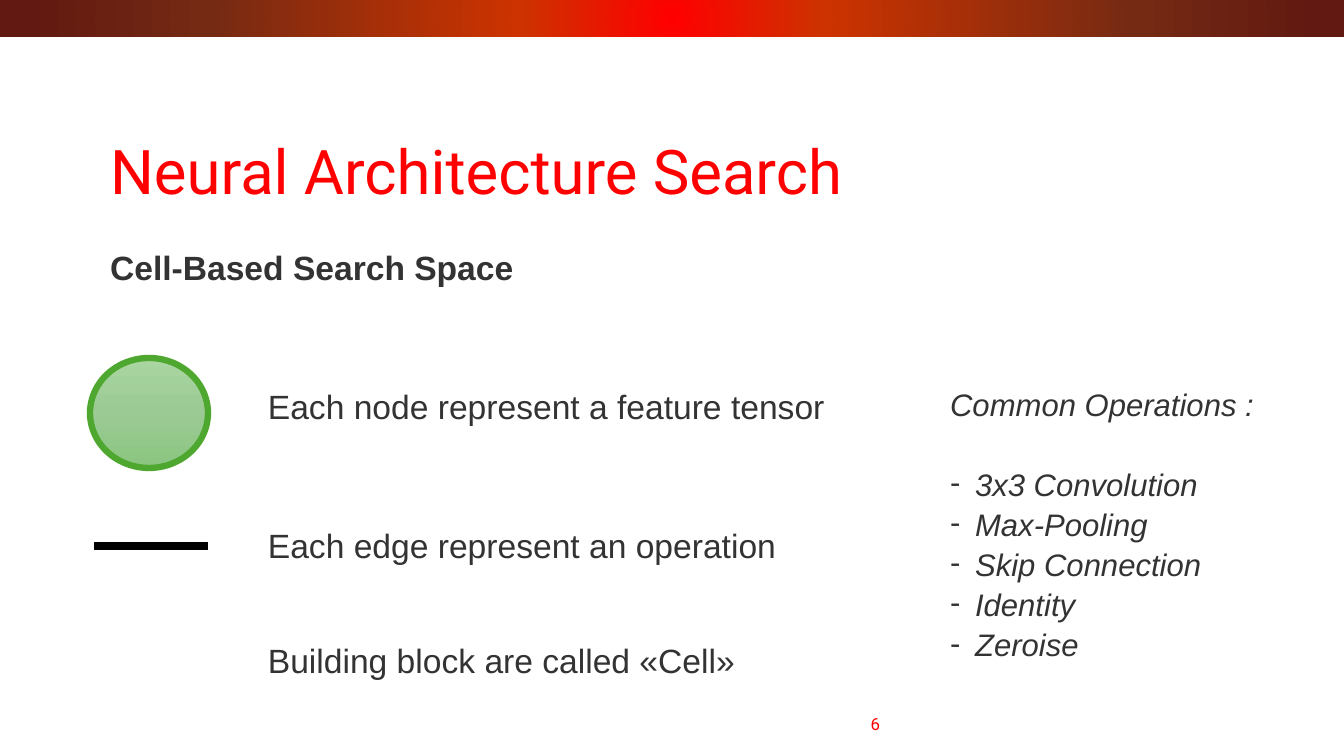
"""Build the slide on the cell-based search space of Neural Architecture Search."""
from lxml import etree
from pptx import Presentation
from pptx import util as u
from pptx.dml.color import RGBColor
from pptx.enum import shapes, text
from pptx.oxml import ns

PX = 914400 / 100.8
RED = RGBColor(0xFF, 0x00, 0x00)
ORANGE = RGBColor(0xCC, 0x33, 0x00)
BROWN = RGBColor(0x75, 0x2A, 0x13)
MAROON = RGBColor(0x61, 0x19, 0x11)
GREY = RGBColor(0x33, 0x33, 0x33)
BLACK = RGBColor(0x00, 0x00, 0x00)
GREEN = RGBColor(0x4E, 0xA7, 0x2E)
LIGHT_GREEN = RGBColor(0xA8, 0xD5, 0xA0)
MID_GREEN = RGBColor(0x9C, 0xCA, 0x94)
DEEP_GREEN = RGBColor(0x8A, 0xC6, 0x80)


def write(box, place, lines, size=24, font="Arial", color=GREY, bold=False, italic=False,
          spacing=0.8, align=text.PP_ALIGN.LEFT, anchor=text.MSO_ANCHOR.TOP, gaps=(0,)):
    """Place a box and write its lines; lines that start with "- " become bullets."""
    box.left, box.top, box.width, box.height = (round(length * PX) for length in place)
    frame = box.text_frame
    frame.word_wrap = True
    frame.auto_size = text.MSO_AUTO_SIZE.NONE
    frame.vertical_anchor = anchor
    for index, line in enumerate(lines):
        para = frame.add_paragraph() if index else frame.paragraphs[0]
        props = para._p.get_or_add_pPr()
        bulleted = line.startswith("- ")
        indent = round(25 * PX) if bulleted else 0
        props.set("marL", str(indent))
        props.set("indent", str(-indent))
        if bulleted:
            etree.SubElement(props, ns.qn("a:buFont")).set("typeface", font)
            etree.SubElement(props, ns.qn("a:buChar")).set("char", "-")
        else:
            etree.SubElement(props, ns.qn("a:buNone"))
        para.alignment = align
        para.line_spacing = spacing
        para.space_before = u.Pt(gaps[min(index, len(gaps) - 1)])
        span = para.add_run()
        span.text = line.removeprefix("- ")
        span.font.size = u.Pt(size)
        span.font.name = font
        span.font.bold = bold
        span.font.italic = italic
        span.font.color.rgb = color


def shade(shape, stops, direction):
    """Fill a shape with gradient stops along the given direction element."""
    shape.shadow.inherit = False
    shape.fill.gradient()
    gradient = shape._element.spPr.find(ns.qn("a:gradFill"))
    for child in list(gradient):
        gradient.remove(child)
    stop_list = etree.SubElement(gradient, ns.qn("a:gsLst"))
    for percent, color in stops:
        stop = etree.SubElement(stop_list, ns.qn("a:gs"), pos=str(percent * 1000))
        etree.SubElement(stop, ns.qn("a:srgbClr"), val=str(color))
    gradient.append(direction)


deck = Presentation()
deck.slide_width = round(1344 * PX)
deck.slide_height = round(756 * PX)
page = deck.slides.add_slide(deck.slide_layouts[3])
for holder in list(page.placeholders):
    if holder.placeholder_format.idx > 2:
        holder._element.getparent().remove(holder._element)

banner = page.shapes.add_shape(shapes.MSO_SHAPE.RECTANGLE, 0, 0, deck.slide_width, round(37 * PX))
radial = etree.Element(ns.qn("a:path"), path="circle")
etree.SubElement(radial, ns.qn("a:fillToRect"), l="50000", t="50000", r="50000", b="50000")
shade(banner, [(0, RED), (23, ORANGE), (69, BROWN), (97, MAROON)], radial)
banner.line.fill.background()

write(page.shapes.title, (100, 133, 1159, 84), ["Neural Architecture Search"], size=44,
      font="Roboto", color=RED, spacing=0.9, anchor=text.MSO_ANCHOR.MIDDLE)
write(page.placeholders[1], (100, 246, 1206, 60), ["Cell-Based Search Space"],
      bold=True, spacing=0.9)
write(page.placeholders[2], (940, 391, 386, 277),
      ["Common Operations :", "- 3x3 Convolution", "- Max-Pooling", "- Skip Connection",
       "- Identity", "- Zeroise"],
      size=22.2, italic=True, spacing=0.7, gaps=(0, 38, 10))

node = page.shapes.add_shape(shapes.MSO_SHAPE.OVAL, *(round(n * PX) for n in (90, 358, 118, 110)))
shade(node, [(0, LIGHT_GREEN), (50, MID_GREEN), (100, DEEP_GREEN)],
      etree.Element(ns.qn("a:lin"), ang="5400000", scaled="0"))
node.line.color.rgb = GREEN
node.line.width = u.Pt(4.5)

edge = page.shapes.add_connector(shapes.MSO_CONNECTOR.STRAIGHT,
                                 *(round(n * PX) for n in (94, 546, 208, 546)))
edge.line.color.rgb = BLACK
edge.line.width = u.Pt(6)
etree.SubElement(edge._element.spPr, ns.qn("a:effectLst"))

for top, label in [(389, "Each node represent a feature tensor"),
                   (528, "Each edge represent an operation"),
                   (643, "Building block are called «Cell»")]:
    write(page.shapes.add_textbox(0, 0, 0, 0), (258, top, 632, 46), [label])

write(page.shapes.add_textbox(0, 0, 0, 0), (530, 713, 360, 22), ["6"], size=12, font="Roboto",
      color=RED, spacing=1.0, align=text.PP_ALIGN.RIGHT, anchor=text.MSO_ANCHOR.MIDDLE)

deck.save("out.pptx")
